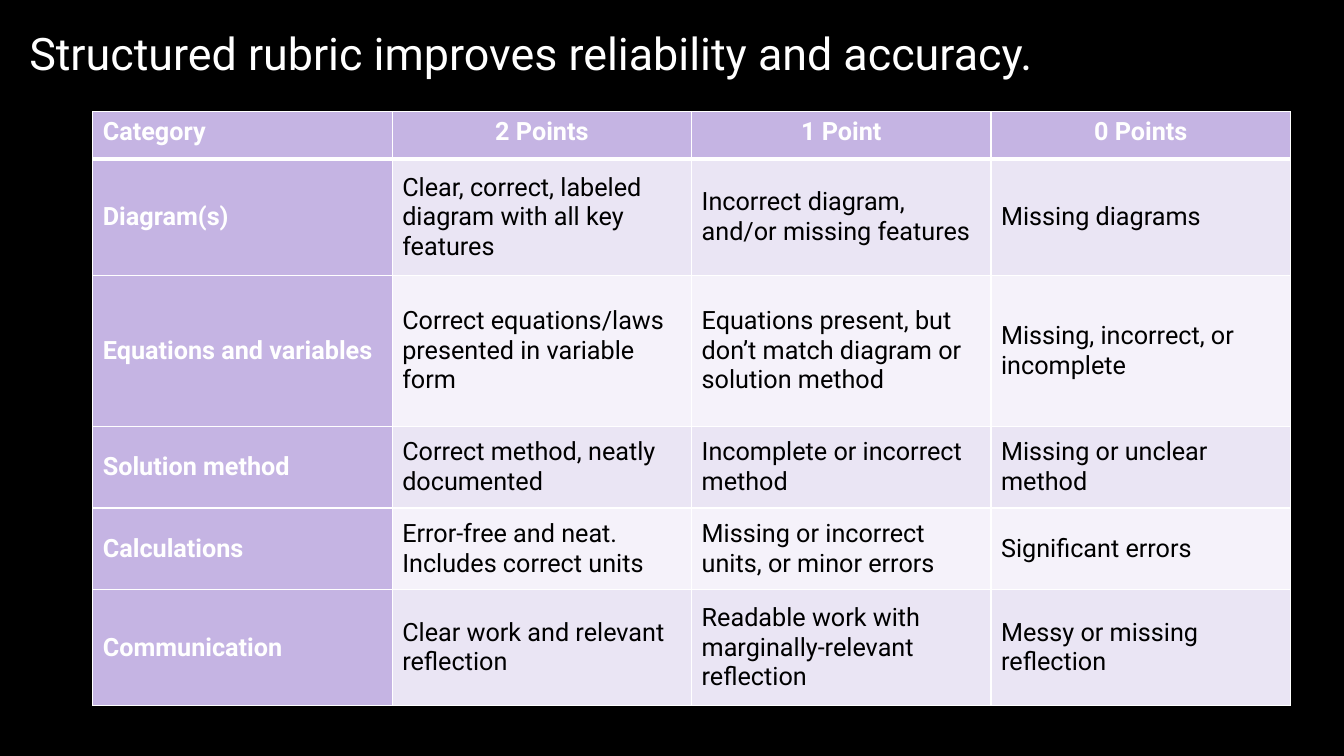
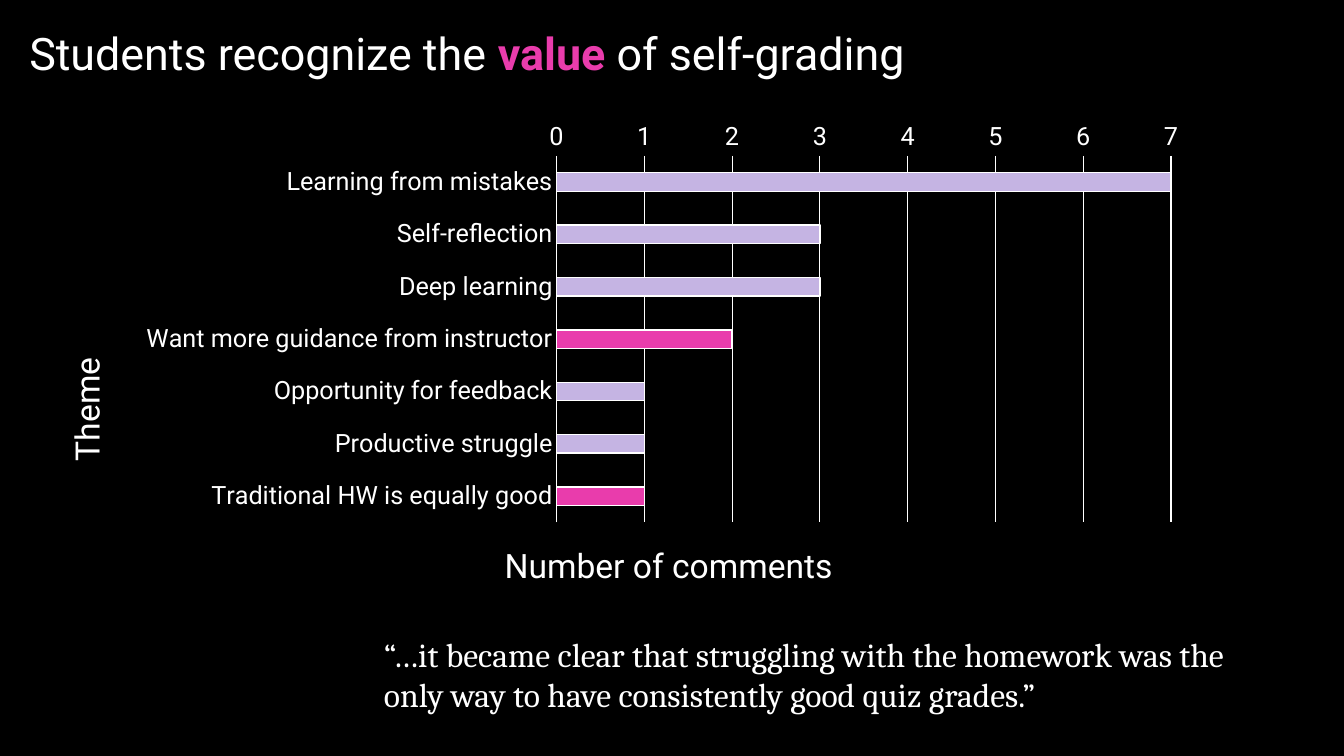
from dataclasses import dataclass

from lxml import etree
from pptx import Presentation
from pptx import util as u
from pptx.chart import data as chart_data
from pptx.dml.color import RGBColor
from pptx.enum import chart as charts, text
from pptx.oxml.ns import qn


@dataclass(frozen=True)
class Theme:
    black: str = "000000"
    white: str = "FFFFFF"
    lilac: str = "C5B4E3"
    pink: str = "E93CAC"
    bands: tuple = ("EAE5F4", "F5F2FA")
    font: str = "Roboto"
    quote_font: str = "Cambria"
    title_size: int = 32
    large_size: int = 24
    body_size: int = 18
    chart_size: int = 10


THEME = Theme()

# Content: a title is a list of (text, highlighted) pieces
RUBRIC_TITLE = [("Structured rubric improves reliability and accuracy.", False)]
RUBRIC = [
    ("Category", "2 Points", "1 Point", "0 Points"),
    ("Diagram(s)", "Clear, correct, labeled diagram with all key features",
     "Incorrect diagram, and/or missing features", "Missing diagrams"),
    ("Equations and variables", "Correct equations/laws presented in variable form",
     "Equations present, but don’t match diagram or solution method",
     "Missing, incorrect, or incomplete"),
    ("Solution method", "Correct method, neatly documented",
     "Incomplete or incorrect method", "Missing or unclear method"),
    ("Calculations", "Error-free and neat. Includes correct units",
     "Missing or incorrect units, or minor errors", "Significant errors"),
    ("Communication", "Clear work and relevant reflection",
     "Readable work with marginally-relevant reflection", "Messy or missing reflection"),
]
ROW_HEIGHTS = [0.47, 1.15, 1.5, 0.81, 0.81, 1.15]
COLUMN_WIDTH = 2.97

THEMES_TITLE = [("Students recognize the ", False), ("value", True), (" of self-grading", False)]
# Theme, number of comments, highlighted
COMMENTS = [
    ("Learning from mistakes", 7, False),
    ("Self-reflection", 3, False),
    ("Deep learning", 3, False),
    ("Want more guidance from instructor", 2, True),
    ("Opportunity for feedback", 1, False),
    ("Productive struggle", 1, False),
    ("Traditional HW is equally good", 1, True),
]
QUOTE = [
    "“…it became clear that struggling with the homework was the",
    "only way to have consistently good quiz grades.”",
]


# Shared helpers
def rgb(color):
    return RGBColor.from_string(color)


def set_font(font, size, color=THEME.white, bold=False, name=THEME.font):
    font.name, font.size, font.bold = name, u.Pt(size), bold
    font.color.rgb = rgb(color)


def box(left, top, width, height):
    return [u.Inches(value) for value in (left, top, width, height)]


def prepare_layout(presentation):
    """Give the title layout its background and title position."""
    layout = presentation.slide_layouts.get_by_name("Title Only")
    layout.background.fill.solid()
    layout.background.fill.fore_color.rgb = rgb(THEME.black)
    title = layout.placeholders[0]
    title.left, title.top, title.width, title.height = box(0.19, 0, 11.5, 1.11)
    title.text_frame.vertical_anchor = text.MSO_ANCHOR.MIDDLE
    title.text_frame.auto_size = text.MSO_AUTO_SIZE.NONE
    return layout


def add_titled_slide(presentation, layout, pieces):
    slide = presentation.slides.add_slide(layout)
    paragraph = slide.shapes.title.text_frame.paragraphs[0]
    paragraph.alignment = text.PP_ALIGN.LEFT
    paragraph.line_spacing = 0.9
    for words, highlighted in pieces:
        run = paragraph.add_run()
        run.text = words
        set_font(run.font, THEME.title_size, THEME.pink if highlighted else THEME.white, highlighted)
    return slide


# Rubric table
def set_borders(cell, top, bottom):
    properties = cell._tc.get_or_add_tcPr()
    for side, points in (("L", 1), ("R", 1), ("T", top), ("B", bottom)):
        line = etree.SubElement(properties, qn(f"a:ln{side}"), w=str(u.Pt(points)))
        fill = etree.SubElement(line, qn("a:solidFill"))
        etree.SubElement(fill, qn("a:srgbClr"), val=THEME.white)


def format_cell(cell, row, column):
    is_header, is_label = row == 0, row == 0 or column == 0
    set_borders(cell, 3 if row == 1 else 1, 3 if is_header else 1)
    cell.fill.solid()
    cell.fill.fore_color.rgb = rgb(THEME.lilac if is_label else THEME.bands[(row - 1) % 2])
    cell.vertical_anchor = text.MSO_ANCHOR.TOP if is_header else text.MSO_ANCHOR.MIDDLE
    paragraph = cell.text_frame.paragraphs[0]
    if is_header and column > 0:
        paragraph.alignment = text.PP_ALIGN.CENTER
    set_font(paragraph.runs[0].font, THEME.body_size,
             THEME.white if is_label else THEME.black, is_label)


def add_rubric(slide):
    columns = len(RUBRIC[0])
    table = slide.shapes.add_table(
        len(RUBRIC), columns, *box(0.92, 1.11, columns * COLUMN_WIDTH, sum(ROW_HEIGHTS))).table
    for column in table.columns:
        column.width = u.Inches(COLUMN_WIDTH)
    for row, (height, entries) in enumerate(zip(ROW_HEIGHTS, RUBRIC)):
        table.rows[row].height = u.Inches(height)
        for column, entry in enumerate(entries):
            cell = table.cell(row, column)
            cell.text = entry
            format_cell(cell, row, column)


# Comment chart
def place(element, index, **fractions):
    """Set a manual chart layout, in fractions of the chart area."""
    for old in element.findall(qn("c:layout")):
        element.remove(old)
    layout = etree.Element(qn("c:layout"))
    element.insert(index, layout)
    manual = etree.SubElement(layout, qn("c:manualLayout"))
    if "w" in fractions:
        etree.SubElement(manual, qn("c:layoutTarget"), val="inner")
    for side in "xy":
        etree.SubElement(manual, qn(f"c:{side}Mode"), val="edge")
    for key, value in fractions.items():
        etree.SubElement(manual, qn(f"c:{key}"), val=str(value))


def format_axis(axis, title, x, y, rotation):
    axis.major_tick_mark = axis.minor_tick_mark = charts.XL_TICK_MARK.NONE
    set_font(axis.tick_labels.font, THEME.body_size)
    frame = axis.axis_title.text_frame
    frame.text = title
    set_font(frame.paragraphs[0].runs[0].font, THEME.large_size)
    element = axis.axis_title._element
    element.find(".//" + qn("a:bodyPr")).set("rot", str(rotation * 60000))
    place(element, 1, x=x, y=y)


def format_bar(bar, color):
    bar.format.fill.solid()
    bar.format.fill.fore_color.rgb = rgb(color)
    bar.format.line.color.rgb = rgb(THEME.white)
    bar.format.line.width = u.Pt(1)


def add_comment_chart(slide):
    names, counts, highlights = zip(*COMMENTS)
    data = chart_data.CategoryChartData()
    data.categories = names
    data.add_series("Series 1", counts)
    chart = slide.shapes.add_chart(
        charts.XL_CHART_TYPE.BAR_CLUSTERED, *box(0.46, 1.11, 11.5, 4.85), data).chart
    chart.has_title = chart.has_legend = False
    set_font(chart.font, THEME.chart_size)

    themes, numbers = chart.category_axis, chart.value_axis
    format_axis(themes, "Theme", 0.01, 0.49, -90)
    format_axis(numbers, "Number of comments", 0.39, 0.87, 0)
    themes.reverse_order = True
    numbers.minimum_scale, numbers.maximum_scale, numbers.major_unit = 0, max(counts), 1
    numbers.format.line.fill.background()
    for lines in (themes.format.line, numbers.major_gridlines.format.line):
        lines.color.rgb = rgb(THEME.white)
        lines.width = u.Pt(0.75)
    place(chart._chartSpace.chart.plotArea, 0, x=0.44, y=0.09, w=0.53, h=0.75)

    plot = chart.plots[0]
    plot.gap_width = 182
    plot.vary_by_categories = False
    series = plot.series[0]
    format_bar(series, THEME.lilac)
    for index, highlighted in enumerate(highlights):
        if highlighted:
            format_bar(series.points[index], THEME.pink)


def add_quote(slide):
    frame = slide.shapes.add_textbox(*box(3.71, 6.24, 9.06, 0.91)).text_frame
    frame.word_wrap = True
    frame.text = "\n".join(QUOTE)
    for paragraph in frame.paragraphs:
        set_font(paragraph.runs[0].font, THEME.large_size, name=THEME.quote_font)


def main():
    presentation = Presentation()
    presentation.slide_width, presentation.slide_height = u.Inches(13.33), u.Inches(7.5)
    layout = prepare_layout(presentation)

    add_rubric(add_titled_slide(presentation, layout, RUBRIC_TITLE))

    themes_slide = add_titled_slide(presentation, layout, THEMES_TITLE)
    add_comment_chart(themes_slide)
    add_quote(themes_slide)

    presentation.save("out.pptx")


if __name__ == "__main__":
    main()
